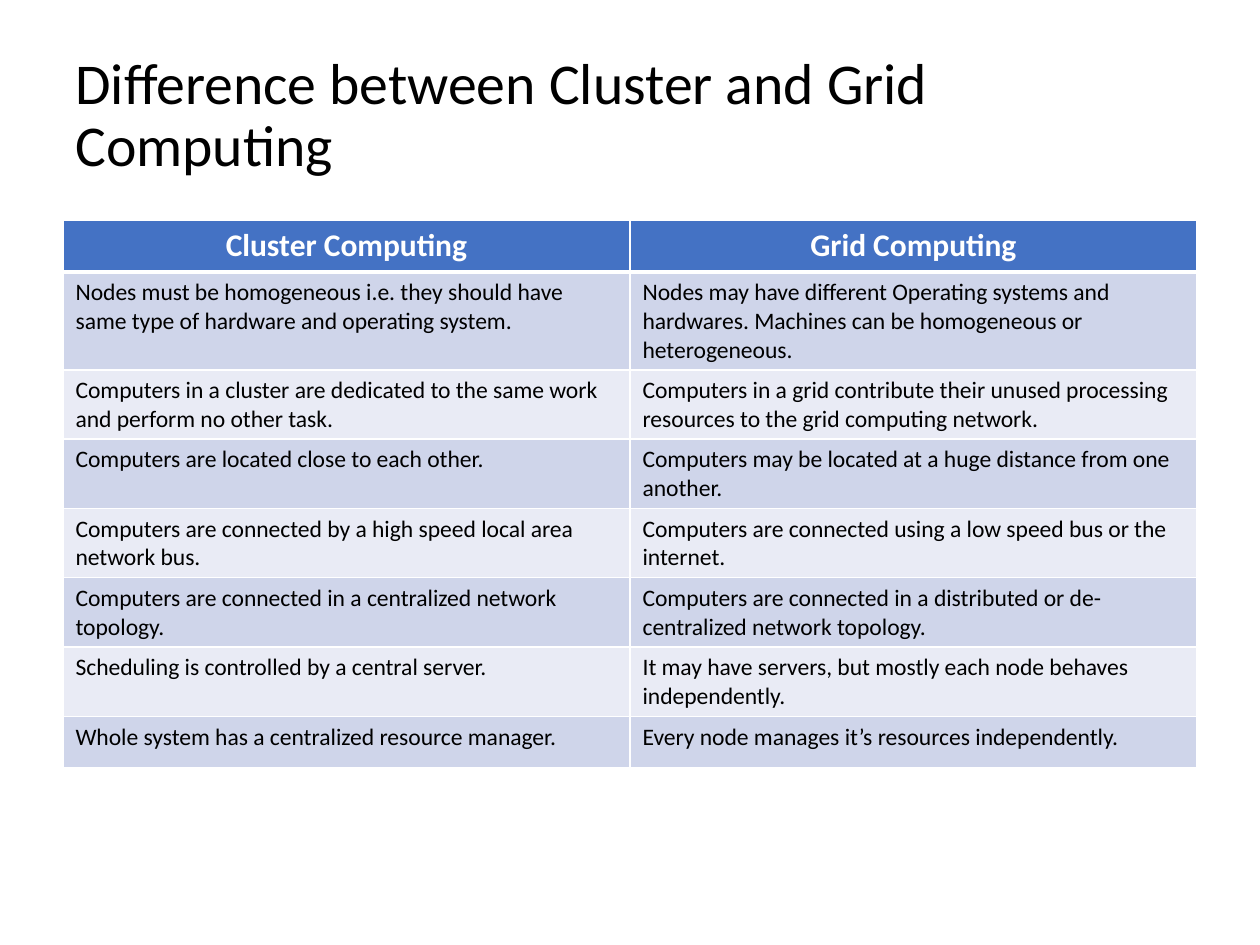
from pptx import Presentation
from pptx.dml.color import RGBColor
from pptx.enum.text import MSO_ANCHOR, PP_ALIGN
from pptx.oxml.ns import qn
from pptx.util import Inches, Pt
from lxml import etree

CENTER, LEFT = PP_ALIGN.CENTER, PP_ALIGN.LEFT
MIDDLE = MSO_ANCHOR.MIDDLE

FONT = "Calibri"
WHITE, BLACK = "FFFFFF", "000000"
HEADER_FILL = "4472C4"
BANDS = ("CFD5EA", "E9EBF5")

TITLE = "Difference between Cluster and Grid Computing"
HEADERS = ("Cluster Computing", "Grid Computing")
ROWS = [
    ("Nodes must be homogeneous i.e. they should have same type of hardware and operating system.",
     "Nodes may have different Operating systems and hardwares. Machines can be homogeneous or heterogeneous."),
    ("Computers in a cluster are dedicated to the same work and perform no other task.",
     "Computers in a grid contribute their unused processing resources to the grid computing network."),
    ("Computers are located close to each other.",
     "Computers may be located at a huge distance from one another."),
    ("Computers are connected by a high speed local area network bus.",
     "Computers are connected using a low speed bus or the internet."),
    ("Computers are connected in a centralized network topology.",
     "Computers are connected in a distributed or de-centralized network topology."),
    ("Scheduling is controlled by a central server.",
     "It may have servers, but mostly each node behaves independently."),
    ("Whole system has a centralized resource manager.",
     "Every node manages it’s resources independently."),
]
MARGIN, WIDTH = 0.5, 9
ROW_HEIGHT = 0.41


def rgb(color):
    return RGBColor.from_string(color)


def add_text(tf, text, size, color, bold=False, align=LEFT):
    p = tf.paragraphs[0]
    p.alignment = align
    r = p.add_run()
    r.text = text
    r.font.name, r.font.size, r.font.bold = FONT, Pt(size), bold
    r.font.color.rgb = rgb(color)
    return p


def set_borders(cell, bottom):
    """White cell borders; they must come before the fill in tcPr."""
    tcPr = cell._tc.get_or_add_tcPr()
    sides = {"lnL": 1, "lnR": 1, "lnT": 1, "lnB": bottom}
    for i, (side, width) in enumerate(sides.items()):
        ln = etree.Element(qn("a:" + side), w=str(Pt(width)))
        fill = etree.SubElement(ln, qn("a:solidFill"))
        etree.SubElement(fill, qn("a:srgbClr"), val=WHITE)
        tcPr.insert(i, ln)


prs = Presentation()
prs.slide_width, prs.slide_height = Inches(10), Inches(7.5)
s = prs.slides.add_slide(prs.slide_layouts[6])

# Title
sp = s.shapes.add_textbox(Inches(MARGIN), Inches(0.3), Inches(WIDTH), Inches(1.25))
tf = sp.text_frame
tf.word_wrap = True
tf.vertical_anchor = MIDDLE
add_text(tf, TITLE, 33, BLACK).line_spacing = 0.9

# Comparison table: rows grow to fit their text
cells = [HEADERS] + ROWS
frame = s.shapes.add_table(len(cells), len(HEADERS), Inches(MARGIN), Inches(1.75),
                           Inches(WIDTH), Inches(ROW_HEIGHT * len(cells)))
table = frame.table
for i, texts in enumerate(cells):
    table.rows[i].height = Inches(ROW_HEIGHT)
    header = i == 0
    for j, text in enumerate(texts):
        cell = table.cell(i, j)
        cell.fill.solid()
        cell.fill.fore_color.rgb = rgb(HEADER_FILL if header else BANDS[(i - 1) % 2])
        set_borders(cell, bottom=3 if header else 1)
        if header:
            add_text(cell.text_frame, text, 18, WHITE, True, CENTER)
        else:
            add_text(cell.text_frame, text, 13.5, BLACK)
        if i == 1:  # share the thick line under the header
            cell._tc.tcPr.find(qn("a:lnT")).set("w", str(Pt(3)))
frame.height = Inches(4.34)

prs.save("out.pptx")
